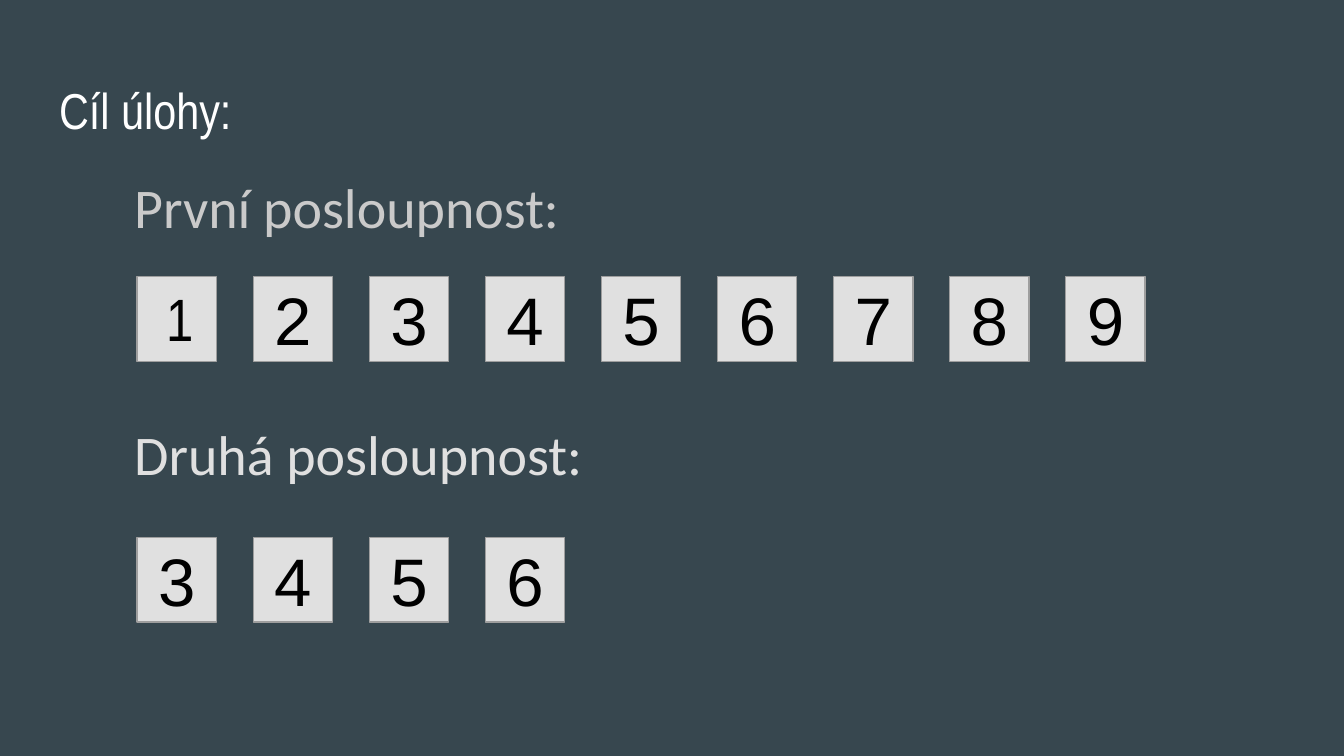
from pptx import Presentation
from pptx.dml.color import RGBColor
from pptx.enum.shapes import MSO_SHAPE
from pptx.enum.text import MSO_ANCHOR, MSO_AUTO_SIZE, PP_ALIGN
from pptx.util import Inches, Pt

RECT = MSO_SHAPE.RECTANGLE
TOP, MIDDLE = MSO_ANCHOR.TOP, MSO_ANCHOR.MIDDLE
LEFT, CENTER = PP_ALIGN.LEFT, PP_ALIGN.CENTER
NO_FIT, GROW = MSO_AUTO_SIZE.NONE, MSO_AUTO_SIZE.SHAPE_TO_FIT_TEXT

TITLE = "Cíl úlohy:"
# heading, (left, top, width, height), colour, line spacing, space after, fit
HEADINGS = [
    ("První posloupnost:", (0.9, 1.11, 3.59, 0.76), "CACACA", 1.15, 12, NO_FIT),
    ("Druhá posloupnost:", (0.9, 3.02, 4.11, 0.71), "E0E0E0", 1, 0, GROW),
]
# top of the row, numbers; the blank first card carries a separate label
SEQUENCES = [
    (2.06, ["", "2", "3", "4", "5", "6", "7", "8", "9"]),
    (4, ["3", "4", "5", "6"]),
]
FIRST_LABEL = ("1", (1.14, 2, 0.59, 0.74))

SLIDE_W = 10
SLIDE_H = SLIDE_W * 9 / 16
FIRST_LEFT, LAST_LEFT = 1.02, 7.93
PITCH = (LAST_LEFT - FIRST_LEFT) / 8
CARD_W, CARD_H = 0.59, 0.63


def color(value):
    return RGBColor.from_string(value)


def inches(box):
    return [Inches(v) for v in box]


def write(s, text, font, size, fill, align=LEFT, anchor=TOP, fit=NO_FIT):
    tf = s.text_frame
    tf.text = text
    tf.word_wrap = True
    tf.auto_size = fit
    tf.vertical_anchor = anchor
    tf.margin_left = tf.margin_right = Inches(0.1)
    tf.margin_top = tf.margin_bottom = Inches(0.1)
    p = tf.paragraphs[0]
    p.alignment = align
    for r in p.runs:
        r.font.name = font
        r.font.size = Pt(size)
        r.font.color.rgb = color(fill)
    return p


def add_card(slide, column, top, number):
    box = (FIRST_LEFT + column * PITCH, top, CARD_W, CARD_H)
    s = slide.shapes.add_shape(RECT, *inches(box))
    s.shadow.inherit = False
    s.fill.solid()
    s.fill.fore_color.rgb = color("E0E0E0")
    s.line.color.rgb = color("9E9E9E")
    s.line.width = Pt(0.75)
    if number:
        write(s, number, "Arial", 36, "000000", CENTER, MIDDLE)


prs = Presentation()
prs.slide_width, prs.slide_height = inches((SLIDE_W, SLIDE_H))
slide = prs.slides.add_slide(prs.slide_layouts[5])
slide.background.fill.solid()
slide.background.fill.fore_color.rgb = color("37474F")

title = slide.shapes.title
title.left, title.top, title.width, title.height = inches((0.34, 0.49, 9.32, 0.63))
write(title, TITLE, "Arial Narrow", 27, "FFFFFF")

for text, box, fill, spacing, after, fit in HEADINGS:
    p = write(slide.shapes.add_textbox(*inches(box)), text, "Calibri", 30, fill, fit=fit)
    p.line_spacing = spacing
    p.space_after = Pt(after)

for top, numbers in SEQUENCES:
    for column, number in enumerate(numbers):
        add_card(slide, column, top, number)

text, box = FIRST_LABEL
write(slide.shapes.add_textbox(*inches(box)), text, "Arial Narrow", 32, "000000", fit=GROW)

prs.save("out.pptx")
